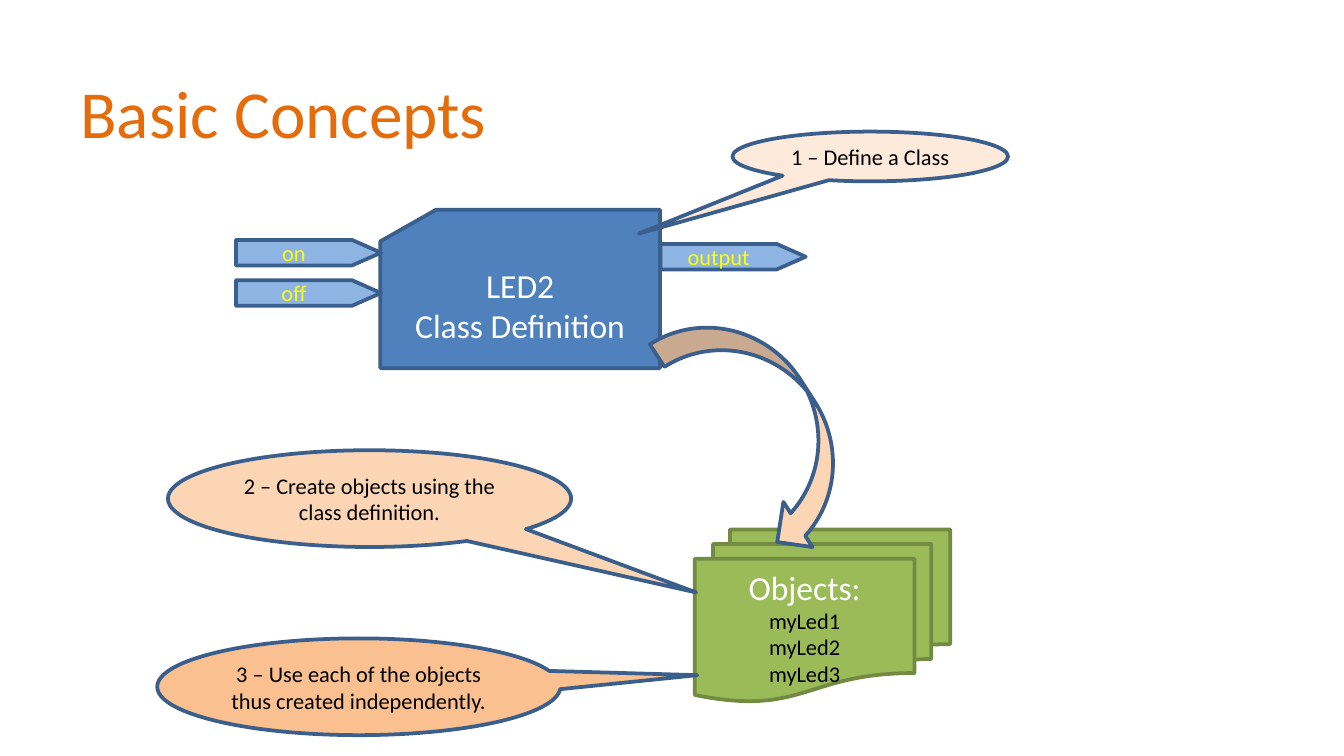
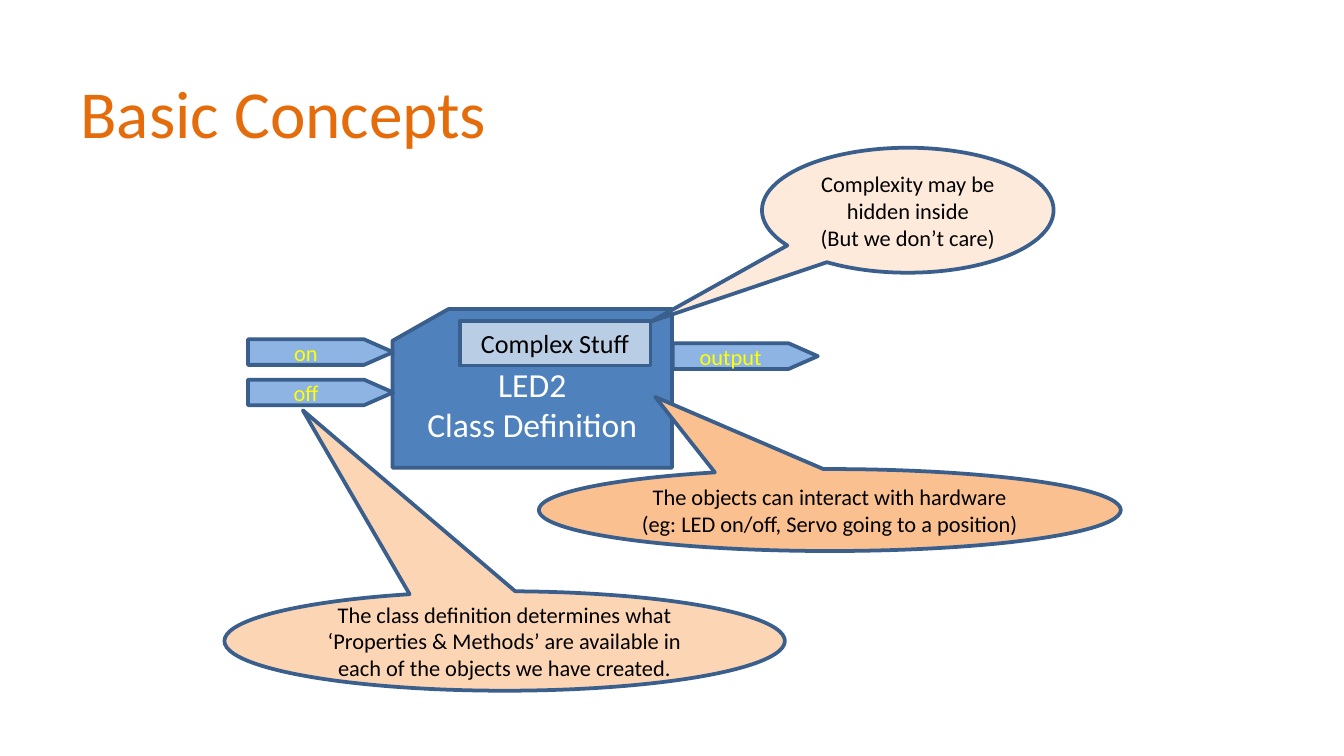
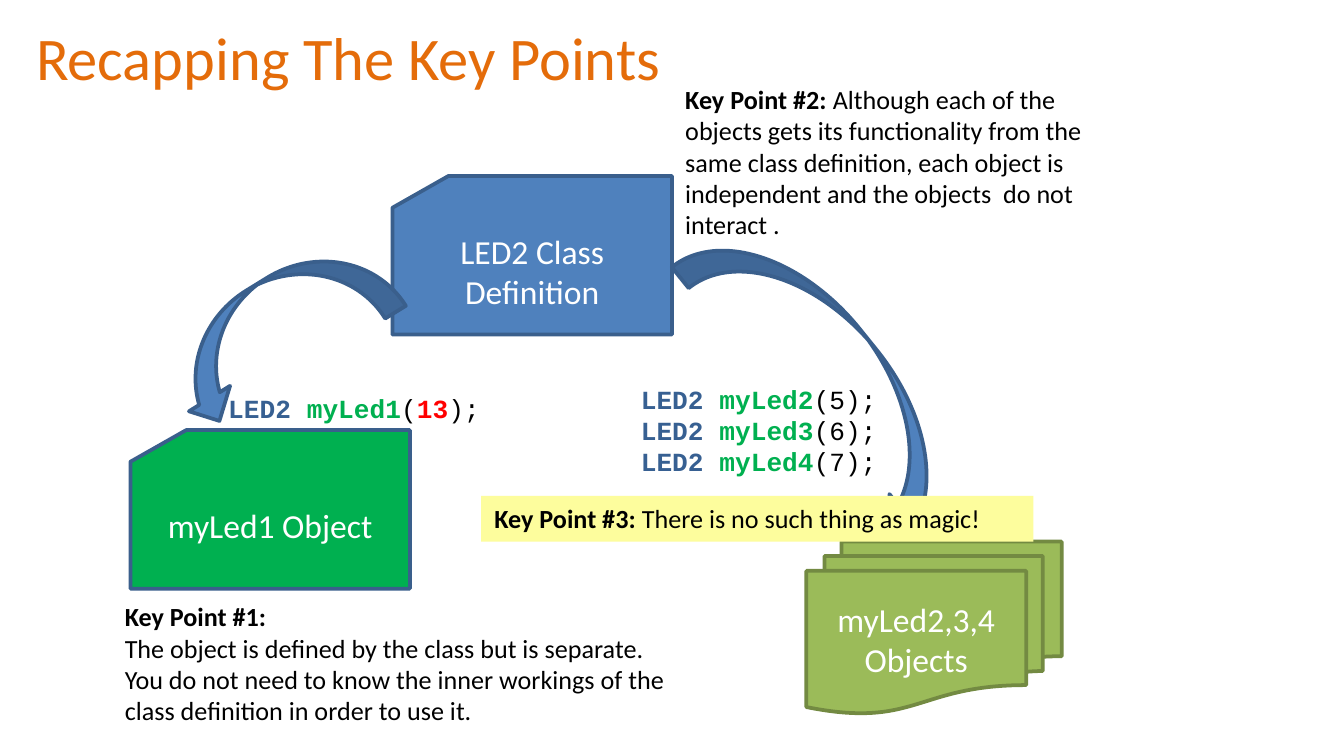
from pptx import Presentation
from pptx.dml.color import RGBColor as Rgb
from pptx.enum.shapes import MSO_SHAPE as Form
from pptx.enum.text import MSO_ANCHOR as Anchor, MSO_AUTO_SIZE as Fit, PP_ALIGN as Align
from pptx.util import Inches, Pt

HUES = {
    "orange": "E46C0A", "blue": "4F81BD", "edge": "3A5F8C", "sky": "8EB4E3",
    "mist": "B9CDE5", "navy": "376092", "cream": "FDEADA", "peach": "FCD5B5",
    "apricot": "FAC090", "olive": "9BBB59", "moss": "738A42", "green": "00B050",
    "lemon": "FDFD9D", "yellow": "FFFF00", "red": "FF0000", "white": "FFFFFF",
    "black": "000000",
}


class Deck:
    """Draws styled parts on the current slide, on a grid 100 columns wide."""

    def __init__(self):
        self.prs = Presentation()
        self.prs.slide_width, self.prs.slide_height = Inches(10), Inches(5.625)
        self.cell = self.prs.slide_width / 100

    def hue(self, name):
        return Rgb.from_string(HUES[name])

    def grid(self, at):
        return [round(n * self.cell) for n in at]

    def page(self, title, at, size=36):
        self.slide = self.prs.slides.add_slide(self.prs.slide_layouts[6])
        head = self.slide.shapes.add_textbox(*self.grid(at))
        self.label(head, [title], size, "orange", Align.LEFT)

    def style(self, font, ink, bold):
        font.color.rgb, font.bold = self.hue(ink), bold

    def label(self, shape, lines, size, ink, align=Align.CENTER,
              anchor=Anchor.MIDDLE, face="Calibri"):
        frame = shape.text_frame
        frame.word_wrap, frame.vertical_anchor = True, anchor
        for i, line in enumerate(lines):
            para = frame.paragraphs[0] if i == 0 else frame.add_paragraph()
            para.alignment = align
            para.font.name, para.font.size = face, Pt(size)
            runs = [(line, ink, False)] if isinstance(line, str) else line
            for text, tint, bold in runs:
                run = para.add_run()
                run.text = text
                self.style(para.font if len(runs) == 1 else run.font, tint, bold)

    def shape(self, form, at, fill, edge="edge", turn=0):
        part = self.slide.shapes.add_shape(form, *self.grid(at))
        part.shadow.inherit = False
        part.rotation = turn
        part.fill.solid()
        part.fill.fore_color.rgb = self.hue(fill)
        if edge:
            part.line.color.rgb, part.line.width = self.hue(edge), Pt(2)
        else:
            part.line.fill.background()
        return part

    def card(self, x, y, lines, fill="blue"):
        self.label(self.shape(Form.FLOWCHART_CARD, (x, y, 20.8, 11.8), fill),
                   lines, 18, "white")

    def pin(self, x, y, text):
        part = self.shape(Form.FLOWCHART_OFFPAGE_CONNECTOR, (x, y, 1.9, 10.8), "sky", turn=270)
        self.label(part, [text], 12, "yellow")
        part.text_frame._txBody.bodyPr.set("vert", "vert")

    def led(self, x, y):
        self.card(x, y, ["LED2", "Class Definition"])
        for dx, dy, text in ((25.3, -1.9, "output"), (-6.3, -2.2, "on"), (-6.3, 0.8, "off")):
            self.pin(x + dx, y + dy, text)

    def call(self, at, tip, fill, *lines):
        part = self.shape(Form.OVAL_CALLOUT, at, fill)
        part.adjustments[0], part.adjustments[1] = tip
        self.label(part, lines, 12, "black")

    def stack(self, x, y, *lines):
        part = self.shape(Form.FLOWCHART_MULTIDOCUMENT, (x, y, 19, 12.8), "olive", "moss")
        self.label(part, lines, 18, "white")
        return part

    def note(self, at, lines, face="Calibri", fill=None):
        if fill:
            part = self.shape(Form.RECTANGLE, at, fill, None)
        else:
            part = self.slide.shapes.add_textbox(*self.grid(at))
        self.label(part, lines, 14, "black", Align.LEFT, Anchor.TOP, face)
        part.text_frame.auto_size = Fit.SHAPE_TO_FIT_TEXT

    def code(self, at, *lines):
        self.note(at, [[("LED2 ", "navy", True), (name, "green", True), *rest]
                       for name, *rest in lines], "Courier New")


def key(num, text=""):
    lead = (f"Key Point #{num}:" + (" " if text else ""), "black", True)
    return [lead, (text, "black", False)] if text else [lead]


def define(deck):
    deck.page("Basic Concepts", (5, 4.1, 76.7, 8.4))
    deck.led(28.3, 15.6)
    deck.call((54.5, 9.8, 20.5, 3.7), (-0.84, 1.55), "cream", "1 – Define a Class")
    part = deck.stack(51.7, 39.4, "Objects:", "myLed1", "myLed2", "myLed3")
    for para in part.text_frame.paragraphs[1:]:
        para.font.size = Pt(12)
        deck.style(para.font, "black", False)
    deck.shape(Form.CURVED_LEFT_ARROW, (53, 21.9, 8, 19.5), "peach", turn=327.2)
    deck.call((12.5, 33.5, 30, 7.2), (0.81, 0.97), "peach",
              "2 – Create objects using the class definition.")
    deck.call((11.7, 47.5, 30, 7.2), (0.84, -0.12), "apricot",
              "3 – Use each of the objects thus created independently.")


def explain(deck):
    deck.page("Basic Concepts", (5, 4.1, 76.7, 8.4))
    deck.led(29.2, 23)
    deck.call((56.7, 11, 21.7, 9.3), (-0.88, 0.89), "cream",
              "Complexity may be hidden inside", "(But we don’t care)")
    deck.call((16.7, 44, 41.7, 7.4), (-0.36, -2.32), "peach",
              "The class definition determines what ‘Properties & Methods’ are "
              "available in each of the objects we have created.")
    stuff = deck.shape(Form.RECTANGLE, (34.2, 23.9, 14.2, 3.3), "mist")
    deck.label(stuff, ["Complex Stuff"], 14, "black")
    deck.call((40.1, 34.9, 43.3, 6.1), (-0.3, -1.38), "apricot",
              "The objects can interact with hardware "
              "(eg: LED on/off, Servo going to a position)")


def recap(deck):
    deck.page("Recapping The Key Points", (1.7, 1.8, 49.2, 4.8), 32.4)
    deck.card(29.2, 13.1, ["LED2 Class Definition"])
    deck.code((16, 28.7, 31.7, 3.4), ("myLed1", ("(", "black", False),
                                      ("13", "red", True), (");", "black", False)))
    deck.shape(Form.CURVED_RIGHT_ARROW, (17, 15.4, 7.2, 18.1), "blue", turn=58.3)
    deck.card(9.7, 32, ["myLed1 Object"], "green")
    deck.note((8.3, 44.2, 45.8, 10.4), [
        key(1), "The object is defined by the class but is separate.",
        "You do not need to know the inner workings of the class definition "
        "in order to use it."])
    deck.shape(Form.CURVED_LEFT_ARROW, (57.8, 14.3, 8, 27.7), "blue", turn=321.1)
    deck.code((46.7, 28, 31.7, 8.1),
              *[(f"myLed{n}", (f"({n + 3});", "black", False)) for n in (2, 3, 4)])
    deck.stack(60, 40.3, "myLed2,3,4 Objects")
    deck.note((50, 5.7, 34.2, 12.8), [key(
        2, "Although each of the objects gets its functionality from the same class "
        "definition, each object is independent and the objects  do not interact .")])
    deck.note((35.8, 36.9, 41.1, 3.4), [key(3, "There is no such thing as magic!")],
              fill="lemon")


def main():
    deck = Deck()
    for draw in (define, explain, recap):
        draw(deck)
    deck.prs.save("out.pptx")


if __name__ == "__main__":
    main()
